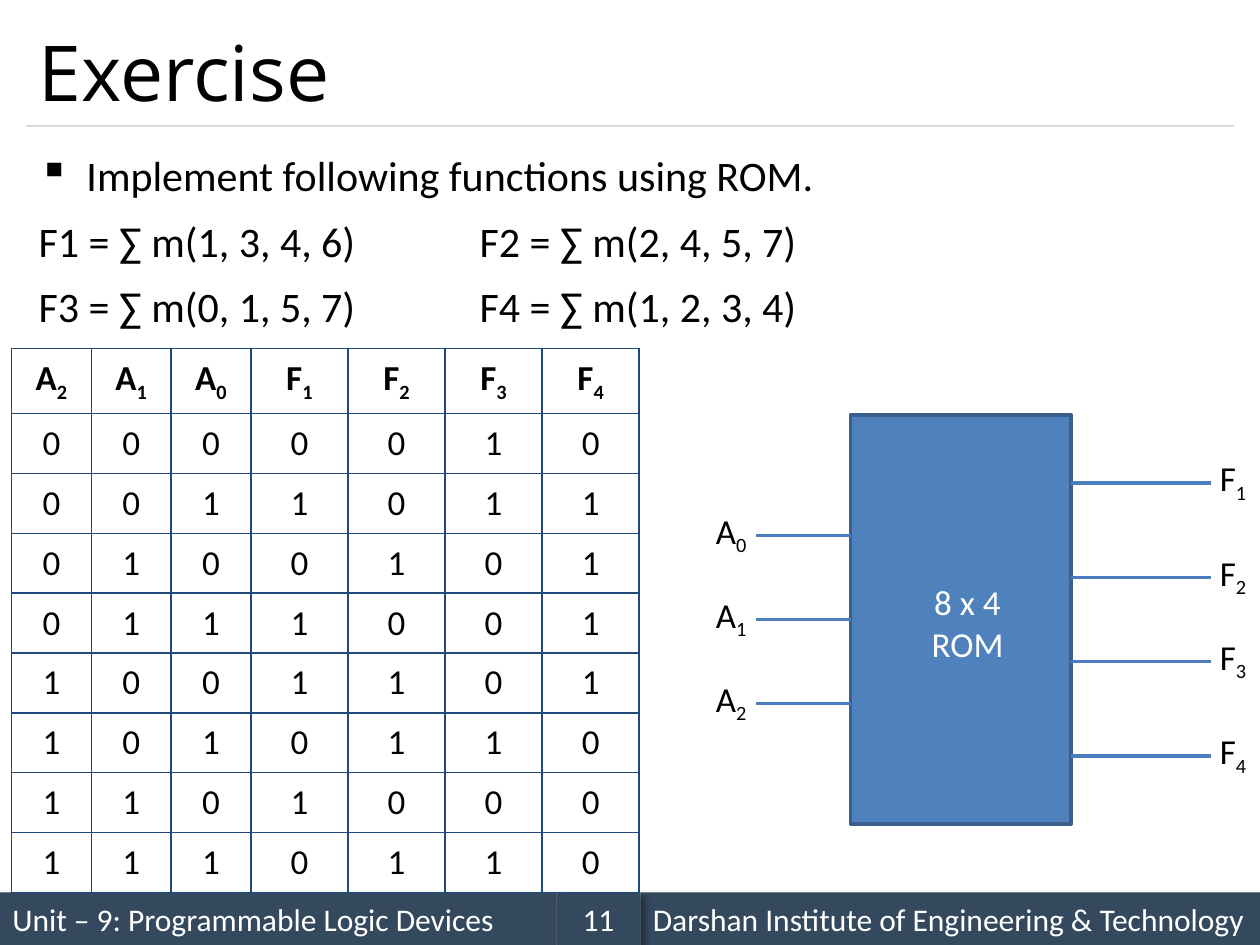
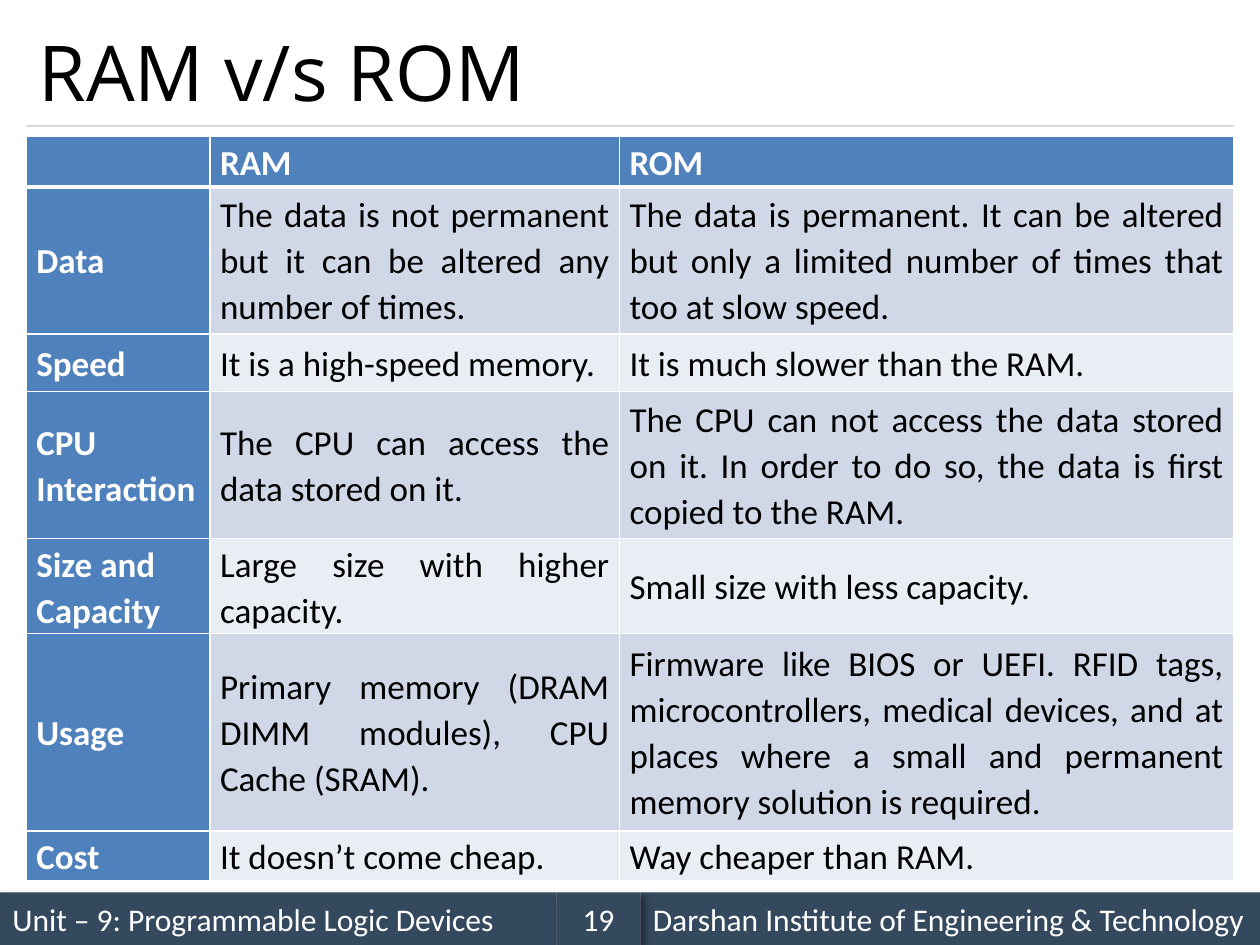
from dataclasses import dataclass

from lxml.etree import SubElement
from pptx import Presentation
from pptx.dml.color import RGBColor
from pptx.enum.shapes import MSO_CONNECTOR, MSO_SHAPE
from pptx.enum.text import MSO_ANCHOR, PP_ALIGN
from pptx.oxml import parse_xml
from pptx.oxml.ns import nsdecls, qn
from pptx.util import Inches, Pt

# The slide is a grid of 120 columns and 90 rows, twelve to the inch
COLUMNS, ROWS, PER_INCH = 120, 90, 12
LEFT_MARGIN, CONTENT_WIDTH = 2.5, 115
BULLET = "▪ "


@dataclass(frozen=True)
class Theme:
    ink: str = "000000"
    paper: str = "FFFFFF"
    footer: str = "34495E"
    rule: str = "D9D9D9"
    accent: str = "4F81BD"
    accent_edge: str = "3A5F8C"
    wire: str = "4B7EBC"
    grid: str = "1F497D"
    bands: tuple = ("D0D8E8", "E9EDF4")
    title_font: str = "Open Sans"
    body_font: str = "Calibri"
    title_size: int = 44
    body_size: int = 24
    label_size: int = 20
    footer_size: int = 18


THEME = Theme()


def units(count):
    return Inches(count / PER_INCH)


def color(code):
    return RGBColor.from_string(code)


def write_text(frame, text, *, size=THEME.label_size, ink=THEME.ink, font=THEME.body_font,
               bold=False, align=PP_ALIGN.LEFT, anchor=MSO_ANCHOR.TOP, spacing=None,
               before=0, wrap=True):
    """Write one paragraph per line; the part after an underscore is a subscript."""
    frame.word_wrap = wrap
    frame.vertical_anchor = anchor
    for number, line in enumerate(text.split("\n")):
        para = frame.add_paragraph() if number else frame.paragraphs[0]
        if line.startswith(BULLET):
            line = line[len(BULLET):]
            properties = para._p.get_or_add_pPr()
            properties.set("marL", str(Inches(0.38)))
            properties.set("indent", str(-Inches(0.38)))
            SubElement(properties, qn("a:buChar")).set("char", BULLET.strip())
        para.alignment = align
        if spacing:
            para.line_spacing = spacing
        if number and before:
            para.space_before = Pt(before)
        para.font.size = Pt(size)
        for level, part in enumerate(line.split("_")):
            span = para.add_run()
            span.text = part
            span.font.size, span.font.name, span.font.bold = Pt(size), font, bold
            span.font.color.rgb = color(ink)
            if level:
                span.font._element.set("baseline", "-25000")


def set_borders(cell, ink, **widths):
    """Draw the cell's sides; widths in points are given as L, R, T and B."""
    properties = cell._tc.get_or_add_tcPr()
    for place, side in enumerate("LRTB"):
        properties.insert(place, parse_xml(
            f'<a:ln{side} {nsdecls("a")} w="{Pt(widths.get(side, 1))}">'
            f'<a:solidFill><a:srgbClr val="{ink}"/></a:solidFill></a:ln{side}>'))


class SlideWriter:
    def __init__(self, deck, theme):
        self.deck, self.theme, self.page = deck, theme, None

    def start(self, title, number):
        """Open a slide with its title, rule and footer."""
        theme = self.theme
        self.page = self.deck.slides.add_slide(self.deck.slide_layouts[6])
        self.footer(0, 53, "Unit – 9: Programmable Logic Devices")
        self.line((LEFT_MARGIN, 12), (LEFT_MARGIN + CONTENT_WIDTH, 12), theme.rule, 0.75)
        self.footer(61, 59, "Darshan Institute of Engineering & Technology")
        self.footer(53, 8, str(number), align=PP_ALIGN.CENTER)
        self.text(LEFT_MARGIN, 1.5, CONTENT_WIDTH, 10.5, title, size=theme.title_size,
                  font=theme.title_font, anchor=MSO_ANCHOR.MIDDLE)

    def text(self, column, row, width, height, text, **style):
        box = self.page.shapes.add_textbox(*map(units, (column, row, width, height)))
        write_text(box.text_frame, text, **style)

    def rectangle(self, column, row, width, height, fill, edge=None):
        box = self.page.shapes.add_shape(
            MSO_SHAPE.RECTANGLE, *map(units, (column, row, width, height)))
        box.shadow.inherit = False
        box.fill.solid()
        box.fill.fore_color.rgb = color(fill)
        if edge:
            box.line.color.rgb = color(edge)
            box.line.width = Pt(2)
        else:
            box.line.fill.background()
        return box

    def footer(self, column, width, text, **style):
        box = self.rectangle(column, 85, width, 5, self.theme.footer)
        effects = box._element.spPr.find(qn("a:effectLst"))
        effects.append(parse_xml(
            f'<a:outerShdw {nsdecls("a")} blurRad="{Pt(4)}" dist="{Pt(3)}" dir="2700000">'
            '<a:srgbClr val="000000"><a:alpha val="40000"/></a:srgbClr></a:outerShdw>'))
        write_text(box.text_frame, text, size=self.theme.footer_size, ink=self.theme.paper,
                   anchor=MSO_ANCHOR.MIDDLE, **style)

    def line(self, begin, end, ink, width):
        wire = self.page.shapes.add_connector(
            MSO_CONNECTOR.STRAIGHT, *map(units, (*begin, *end)))
        wire.line.color.rgb = color(ink)
        wire.line.width = Pt(width)
        SubElement(wire._element.spPr, qn("a:effectLst"))
        return wire

    def table(self, column, row, widths, heights, rows, format_cell):
        """Add a table; format_cell(cell, text, row, column) styles each cell."""
        table = self.page.shapes.add_table(
            len(heights), len(widths),
            *map(units, (column, row, sum(widths), sum(heights)))).table
        table.first_row = table.horz_banding = False
        for part, width in zip(table.columns, widths):
            part.width = units(width)
        for part, height in zip(table.rows, heights):
            part.height = units(height)
        for down, texts in enumerate(rows):
            for across, text in enumerate(texts):
                format_cell(table.cell(down, across), text, down, across)


def exercise_slide(writer):
    theme = writer.theme
    minterms = {"F1": (1, 3, 4, 6), "F2": (2, 4, 5, 7), "F3": (0, 1, 5, 7), "F4": (1, 2, 3, 4)}
    writer.start("Exercise", 11)

    # Task and functions, two to a line
    sums = [f"{name} = ∑ m({', '.join(map(str, terms))})" for name, terms in minterms.items()]
    task = [BULLET + "Implement following functions using ROM.",
            "\t\t".join(sums[:2]), "\t\t".join(sums[2:])]
    writer.text(LEFT_MARGIN, 13, CONTENT_WIDTH, 20, "\n".join(task),
                size=theme.body_size, spacing=1.14, before=4.5)

    # Truth table
    def format_cell(cell, text, down, across):
        cell.fill.background()
        write_text(cell.text_frame, text, bold=down == 0, align=PP_ALIGN.CENTER)
        cell.vertical_anchor = MSO_ANCHOR.MIDDLE
        set_borders(cell, theme.grid)

    truth = [["A_2", "A_1", "A_0", "F_1", "F_2", "F_3", "F_4"]]
    for address in range(8):
        outputs = [str(int(address in terms)) for terms in minterms.values()]
        truth.append([*f"{address:03b}", *outputs])
    writer.table(1.1, 33.2, [7.6] * 3 + [9.25] * 4, [6.2] + [5.7] * 8, truth, format_cell)

    # Memory block with its address and output lines
    block_left, block_width = 81, 21
    block_right = block_left + block_width
    block = writer.rectangle(block_left, 39.5, block_width, 39, theme.accent, theme.accent_edge)
    for index, row in enumerate((46, 55, 63, 72), 1):
        writer.line((block_right, row), (115.3, row), theme.wire, 2)
        writer.text(115, row - 3.1, 5, 5.3, f"F_{index}", wrap=False)
    for index, row in enumerate((51, 59, 67)):
        wire = writer.line((72, row), (block_left, row), theme.wire, 2)
        if index == 1:
            wire.end_connect(block, 1)
        writer.text(67, row - 3.1, 5.5, 5.3, f"A_{index}", wrap=False)
    writer.text(85.3, 54.7, 13.7, 9.2, "8 x 4\nROM", ink=theme.paper, align=PP_ALIGN.CENTER)


def comparison_slide(writer):
    theme = writer.theme
    writer.start("RAM v/s ROM", 19)

    # Comparison table with a heading row and a heading column
    def format_cell(cell, text, down, across):
        heading = down == 0 or across == 0
        cell.fill.solid()
        cell.fill.fore_color.rgb = color(theme.accent if heading else theme.bands[(down - 1) % 2])
        cell.margin_left = cell.margin_right = Inches(0.08)
        cell.margin_top = cell.margin_bottom = Inches(0.02)
        write_text(cell.text_frame, text, bold=heading, spacing=1.07,
                   ink=theme.paper if heading else theme.ink,
                   align=PP_ALIGN.LEFT if heading else PP_ALIGN.JUSTIFY)
        cell.vertical_anchor = MSO_ANCHOR.MIDDLE
        set_borders(cell, theme.paper, T=3 if down == 1 else 1, B=3 if down == 0 else 1)

    rows = [
        ("", "RAM", "ROM"),
        ("Data", "The data is not permanent but it can be altered any number of times.",
         "The data is permanent. It can be altered but only a limited number of times "
         "that too at slow speed."),
        ("Speed", "It is a high-speed memory.", "It is much slower than the RAM."),
        ("CPU Interaction", "The CPU can access the data stored on it.",
         "The CPU can not access the data stored on it. In order to do so, the data is "
         "first copied to the RAM."),
        ("Size and Capacity", "Large size with higher capacity.",
         "Small size with less capacity."),
        ("Usage", "Primary memory (DRAM DIMM modules), CPU Cache (SRAM).",
         "Firmware like BIOS or UEFI. RFID tags, microcontrollers, medical devices, and at "
         "places where a small and permanent memory solution is required."),
        ("Cost", "It doesn’t come cheap.", "Way cheaper than RAM."),
    ]
    writer.table(LEFT_MARGIN, 13, [17.5, 39, 58.5], [4.8, 14, 5.5, 14, 9, 18.8, 4.8],
                 rows, format_cell)


def main():
    deck = Presentation()
    deck.slide_width, deck.slide_height = units(COLUMNS), units(ROWS)
    writer = SlideWriter(deck, THEME)
    exercise_slide(writer)
    comparison_slide(writer)
    deck.save("out.pptx")


if __name__ == "__main__":
    main()
